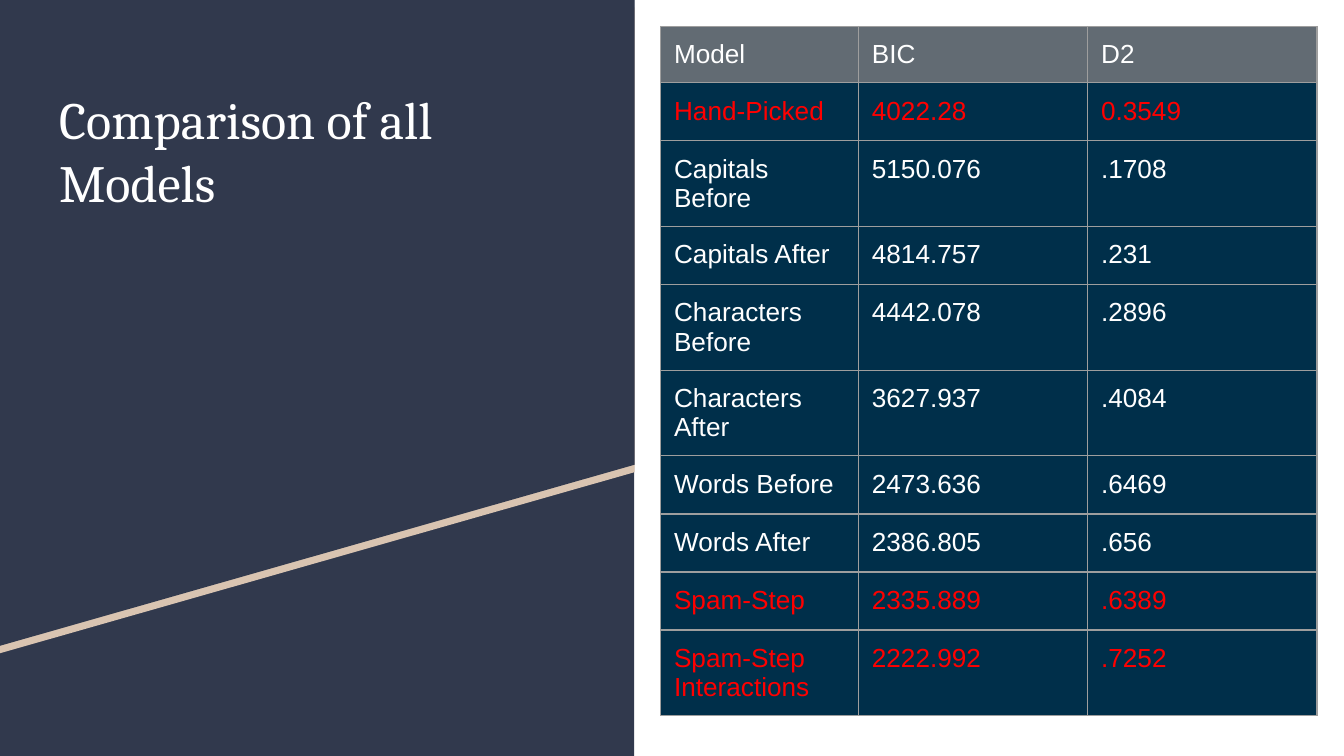
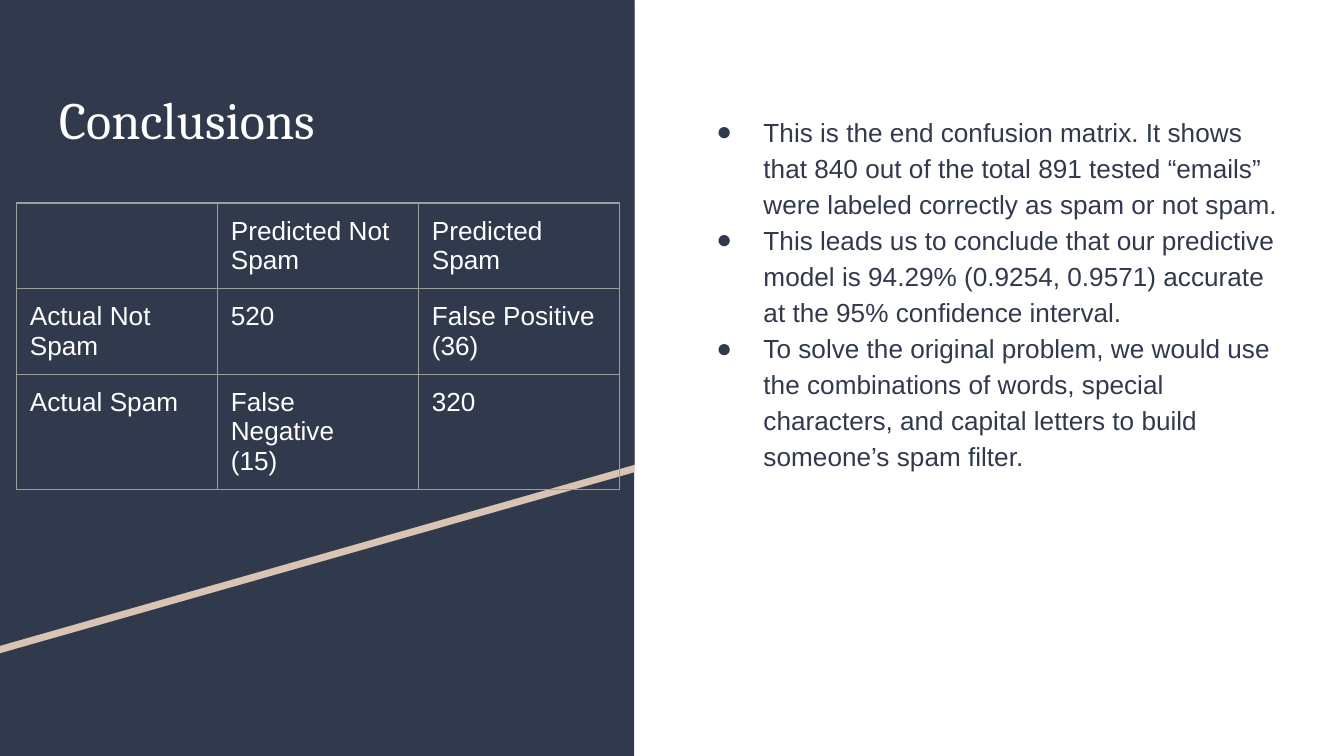
from lxml import etree
from pptx import Presentation
from pptx.dml.color import RGBColor
from pptx.enum import shapes, text as t
from pptx.oxml.ns import qn
from pptx.util import Pt

COLORS = {"navy": "31394D", "sand": "D9C4B1", "white": "FFFFFF", "red": "FF0000",
          "header": "626B73", "cell": "002F4A", "border": "9E9E9E"}
HEADING_FONT, BODY_FONT = "Cambria", "Arial"
SLIDE_WIDTH, SLIDE_HEIGHT = 720, 405
PANEL_WIDTH = 339.7
SLOPE_LEFT, SLOPE_RIGHT, STRIPE = 346.4, 249, 3.6
INSET = 7.2

MODELS = [
    ("Model", "BIC", "D2"),
    ("Hand-Picked", "4022.28", "0.3549"),
    ("Capitals Before", "5150.076", ".1708"),
    ("Capitals After", "4814.757", ".231"),
    ("Characters Before", "4442.078", ".2896"),
    ("Characters After", "3627.937", ".4084"),
    ("Words Before", "2473.636", ".6469"),
    ("Words After", "2386.805", ".656"),
    ("Spam-Step", "2335.889", ".6389"),
    ("Spam-Step Interactions", "2222.992", ".7252"),
]
HIGHLIGHTED = {"Hand-Picked", "Spam-Step", "Spam-Step Interactions"}

CONFUSION_MATRIX = [
    ("", "Predicted Not Spam", "Predicted Spam"),
    ("Actual Not Spam", "520", "False Positive (36)"),
    ("Actual Spam", "False Negative\n(15)", "320"),
]

CONCLUSIONS = [
    "This is the end confusion matrix. It shows that 840 out of the total 891 tested "
    "“emails” were labeled correctly as spam or not spam.",
    "This leads us to conclude that our predictive model is 94.29% (0.9254, 0.9571) "
    "accurate at the 95% confidence interval.",
    "To solve the original problem, we would use the combinations of words, special "
    "characters, and capital letters to build someone’s spam filter.",
]


def rgb(name):
    return RGBColor.from_string(COLORS[name])


def add_color(parent, tag, name):
    holder = etree.SubElement(parent, qn(tag))
    etree.SubElement(holder, qn("a:srgbClr"), val=COLORS[name])


def write(frame, text, size=14, font=BODY_FONT, color="white", line_spacing=None):
    """Fill a text frame, one paragraph for each line of the text."""
    frame.text = text
    frame.word_wrap = True
    for paragraph in frame.paragraphs:
        paragraph.alignment = t.PP_ALIGN.LEFT
        paragraph.space_before = Pt(0)
        if line_spacing:
            paragraph.line_spacing = line_spacing
        for run in paragraph.runs:
            run.font.size = Pt(size)
            run.font.name = font
            run.font.color.rgb = rgb(color)


class Deck:
    def __init__(self):
        self.presentation = Presentation()
        self.presentation.slide_width = Pt(SLIDE_WIDTH)
        self.presentation.slide_height = Pt(SLIDE_HEIGHT)
        self.slide = None

    def new_slide(self, layout_name):
        layout = self.presentation.slide_layouts.get_by_name(layout_name)
        self.slide = self.presentation.slides.add_slide(layout)

    def polygon(self, points, color):
        builder = self.slide.shapes.build_freeform(*points[0], scale=Pt(1))
        builder.add_line_segments(points[1:], close=True)
        return self.paint(builder.convert_to_shape(), color)

    def rectangle(self, left, top, width, height, color):
        shape = self.slide.shapes.add_shape(
            shapes.MSO_SHAPE.RECTANGLE, Pt(left), Pt(top), Pt(width), Pt(height))
        return self.paint(shape, color)

    def paint(self, shape, color):
        shape.shadow.inherit = False
        shape.fill.solid()
        shape.fill.fore_color.rgb = rgb(color)
        shape.line.fill.background()
        return shape

    def master_panel(self):
        """Put the navy panel with its slanted stripe behind every slide."""
        def slanted(top):
            return [(0, top), (PANEL_WIDTH, top),
                    (PANEL_WIDTH, SLOPE_RIGHT + top), (0, SLOPE_LEFT + top)]

        parts = [self.rectangle(0, 0, PANEL_WIDTH, SLIDE_HEIGHT, "navy"),
                 self.polygon(slanted(STRIPE), "sand"),
                 self.polygon(slanted(0), "navy")]
        tree = self.presentation.slide_master.shapes.element
        for position, shape in enumerate(parts, start=2):
            tree.insert(position, shape.element)

    def place(self, shape, left, top, width, height, first_gap=0):
        shape.left, shape.top, shape.width, shape.height = map(Pt, (left, top, width, height))
        frame = shape.text_frame
        frame.auto_size = t.MSO_AUTO_SIZE.NONE
        frame.vertical_anchor = t.MSO_ANCHOR.TOP
        frame.margin_left = frame.margin_right = frame.margin_bottom = Pt(INSET)
        frame.margin_top = Pt(INSET + first_gap)
        return frame

    def title(self, text):
        frame = self.place(self.slide.shapes.title, 24.5, 39.6, 291.6, 197.3)
        write(frame, text, size=28, font=HEADING_FONT)

    def bullets(self, items):
        body = self.slide.placeholders[1]
        frame = self.place(body, 365.8, 39.6, 328.3, 322.6, first_gap=12.9)
        write(frame, "\n".join(items), color="navy", line_spacing=1.15)
        for properties in body.element.iter(qn("a:pPr")):
            properties.set("marL", str(Pt(36)))
            properties.set("indent", str(Pt(-25.2)))
            add_color(properties, "a:buClr", "navy")
            etree.SubElement(properties, qn("a:buFont"), typeface=BODY_FONT)
            etree.SubElement(properties, qn("a:buChar"), char="●")

    def table(self, rows, left, top, widths, heights, fills=None, highlighted=()):
        """Add a bordered table; fills names the header and body cell colours."""
        graphic = self.slide.shapes.add_table(
            len(rows), len(widths), Pt(left), Pt(top), Pt(sum(widths)), Pt(sum(heights)))
        table = graphic.table
        table.first_row = table.horz_banding = False
        for column, width in zip(table.columns, widths):
            column.width = Pt(width)
        for index, (row, height, values) in enumerate(zip(table.rows, heights, rows)):
            row.height = Pt(height)
            color = "red" if values[0] in highlighted else "white"
            for cell, value in zip(row.cells, values):
                cell.margin_left = cell.margin_right = Pt(INSET)
                cell.margin_top = cell.margin_bottom = Pt(INSET)
                write(cell.text_frame, value, color=color)
                if fills:
                    cell.fill.solid()
                    cell.fill.fore_color.rgb = rgb(fills[min(index, 1)])
                else:
                    cell.fill.background()
        self.borders(graphic)

    def borders(self, graphic):
        for properties in graphic.element.iter(qn("a:tcPr")):
            for position, side in enumerate("LRTB"):
                line = etree.Element(qn(f"a:ln{side}"), w=str(Pt(0.75)))
                add_color(line, "a:solidFill", "border")
                properties.insert(position, line)


def main():
    deck = Deck()

    deck.new_slide("Title Only")
    deck.master_panel()
    deck.title("Comparison of all Models")
    deck.table(MODELS, 353.9, 14.2, [106, 122.8, 122.8], [30] + [31.1] * 8 + [30],
               fills=("header", "cell"), highlighted=HIGHLIGHTED)

    deck.new_slide("Title and Content")
    deck.title("Conclusions")
    deck.bullets(CONCLUSIONS)
    deck.table(CONFUSION_MATRIX, 8.8, 108.7, [107.7] * 3, [41] * 3)

    deck.presentation.save("out.pptx")


if __name__ == "__main__":
    main()
